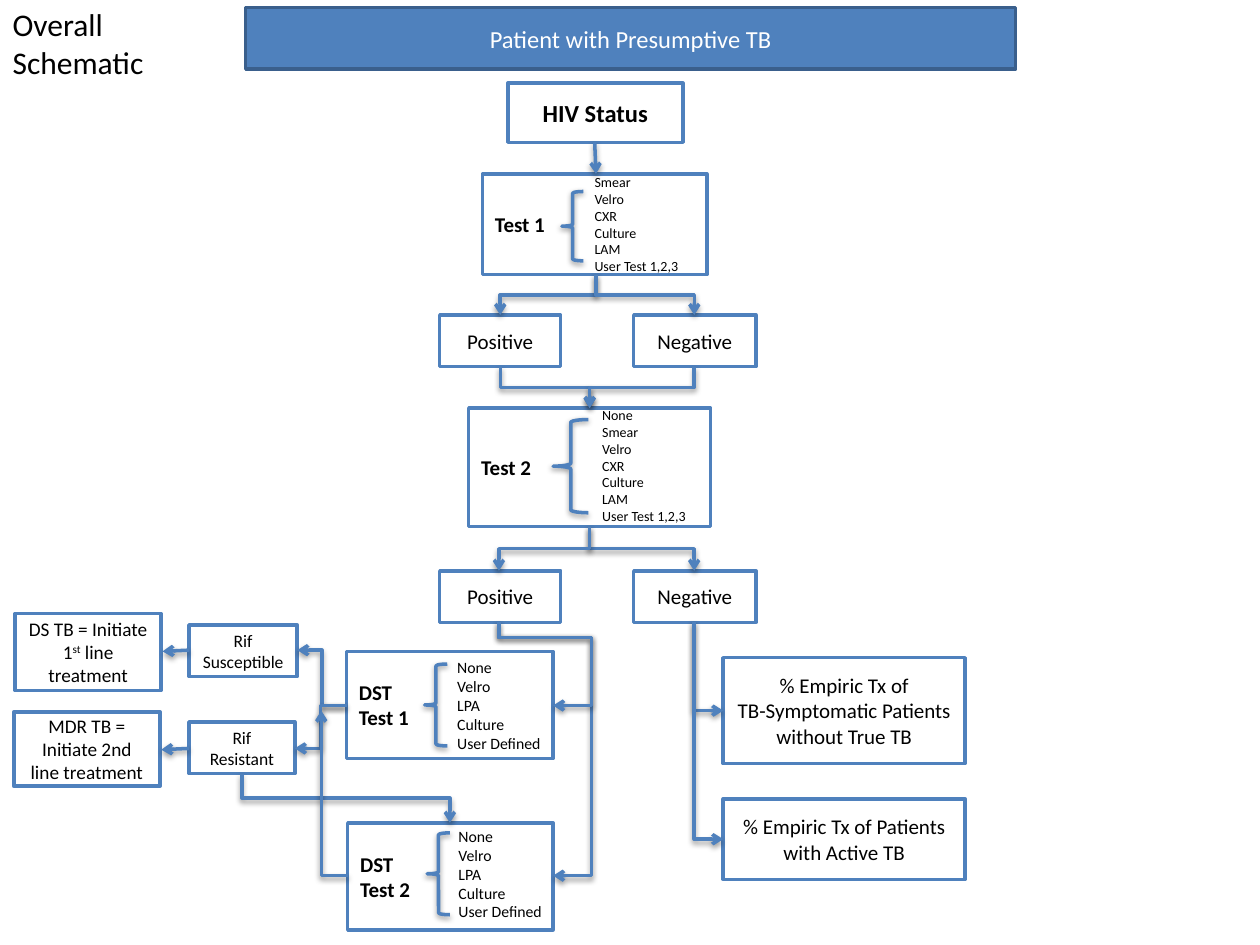
from dataclasses import dataclass

from lxml.etree import SubElement as Sub
from pptx import Presentation
from pptx.dml.color import RGBColor as RGB
from pptx.enum.shapes import MSO_CONNECTOR as Wire, MSO_SHAPE as Form
from pptx.enum.text import MSO_ANCHOR as Anchor, MSO_AUTO_SIZE as Fit, PP_ALIGN as Align
from pptx.oxml.ns import qn
from pptx.util import Pt

PX = 9144  # 100 px to the inch
BLUE = RGB(0x4F, 0x81, 0xBD)
NAVY = RGB(0x3A, 0x5F, 0x8C)
WHITE = RGB(0xFF, 0xFF, 0xFF)
BLACK = RGB(0x00, 0x00, 0x00)

Rect = tuple[int, int, int, int]


@dataclass
class Box:
    at: Rect
    text: str  # ^ marks turn superscript on and off
    size: int = 12
    bold: bool = False
    align: Align = Align.CENTER
    fill: RGB = WHITE
    edge: RGB = BLUE
    ink: RGB = BLACK


@dataclass
class Panel:
    box: Rect
    name: str
    list_at: Rect
    items: str
    size: int
    brace: Rect


@dataclass
class Link:
    start: tuple[int, int]
    end: tuple[int, int]
    bends: int = 2  # 0 is a straight line
    down: bool = True  # leaves downward, else to the left
    adjust: tuple[float, ...] = ()


def scale(at: Rect) -> list[int]:
    return [v * PX for v in at]


def write(frame, text: str, size: int, ink: RGB, align: Align, bold: bool = False) -> None:
    frame.word_wrap = True
    for i, line in enumerate(text.split("\n")):
        par = frame.paragraphs[0] if i == 0 else frame.add_paragraph()
        par.alignment = align
        font = par.font
        font.name, font.size, font.bold = "Calibri", Pt(size), bold
        font.color.rgb = ink
        for j, part in enumerate(line.split("^")):
            run = par.add_run()
            run.text = part
            if j % 2:
                run.font._element.set("baseline", "30000")


def stroke(shape, color: RGB) -> None:
    shape.line.color.rgb = color
    shape.line.width = Pt(2)


def shade(props) -> None:
    """Give a soft shadow below the line."""
    old = props.find(qn("a:effectLst"))
    effect = Sub(props, qn("a:effectLst")) if old is None else old
    cast = Sub(effect, qn("a:outerShdw"), blurRad="40000", dist="20000",
               dir="5400000", rotWithShape="0")
    tint = Sub(cast, qn("a:srgbClr"), val="000000")
    Sub(tint, qn("a:alpha"), val="38000")


def draw_box(shapes, box: Box) -> None:
    shape = shapes.add_shape(Form.RECTANGLE, *scale(box.at))
    shape.shadow.inherit = False
    shape.fill.solid()
    shape.fill.fore_color.rgb = box.fill
    stroke(shape, box.edge)
    shape.text_frame.vertical_anchor = Anchor.MIDDLE
    write(shape.text_frame, box.text, box.size, box.ink, box.align, box.bold)


def draw_panel(shapes, panel: Panel) -> None:
    group = shapes.add_group_shape().shapes
    draw_box(group, Box(panel.box, panel.name, bold=True, align=Align.LEFT))
    frame = group.add_textbox(*scale(panel.list_at)).text_frame
    write(frame, panel.items, panel.size, BLACK, Align.LEFT)
    frame.auto_size = Fit.SHAPE_TO_FIT_TEXT
    brace = group.add_shape(Form.LEFT_BRACE, *scale(panel.brace))
    brace.fill.background()
    stroke(brace, BLUE)
    brace.shadow.inherit = False
    shade(brace._element.spPr)


def draw_link(shapes, link: Link) -> None:
    (x1, y1), (x2, y2) = link.start, link.end
    if link.bends == 0:
        wire = shapes.add_connector(Wire.STRAIGHT, *scale((x1, y1, x2, y2)))
        props = wire._element.spPr
    else:
        wide, high = abs(x2 - x1) * PX, abs(y2 - y1) * PX
        if link.down:
            wide, high = high, wide
        left = ((x1 + x2) * PX - wide) // 2
        top = ((y1 + y2) * PX - high) // 2
        wire = shapes.add_connector(Wire.ELBOW, left, top, left + wide, top + high)
        props = wire._element.spPr
        # Turn the elbow so that it leaves in the right direction
        frame = props.find(qn("a:xfrm"))
        if link.down and x2 > x1:
            frame.set("rot", "16200000")
            frame.set("flipH", "1")
        elif link.down:
            frame.set("rot", "5400000")
        else:
            frame.set("rot", "10800000")
            if y2 > y1:
                frame.set("flipV", "1")
        shape = props.find(qn("a:prstGeom"))
        shape.set("prst", f"bentConnector{link.bends + 1}")
        guides = shape.find(qn("a:avLst"))
        for i, part in enumerate(link.adjust, 1):
            Sub(guides, qn("a:gd"), name=f"adj{i}", fmla=f"val {round(part * 100000)}")
    stroke(wire, BLUE)
    Sub(props.find(qn("a:ln")), qn("a:tailEnd"), type="arrow")
    shade(props)


BOXES = [
    Box((195, 6, 611, 49), "Patient with Presumptive TB", 14, fill=BLUE, edge=NAVY, ink=WHITE),
    Box((403, 66, 139, 47), "HIV Status", 14, bold=True),
    # Treatment without a positive test
    Box((574, 522, 192, 84), "% Empiric Tx of\nTB-Symptomatic Patients without True TB"),
    Box((574, 634, 192, 64), "% Empiric Tx of Patients with Active TB"),
    # Drug resistance and treatment
    Box((150, 496, 86, 41), "Rif Susceptible", 10),
    Box((150, 573, 84, 41), "Rif Resistant", 10),
    Box((12, 487, 116, 61), "DS TB = Initiate 1^st^ line treatment", 11),
    Box((11, 565, 116, 59), "MDR TB = Initiate 2nd line treatment", 11),
]
# Results of both tests
for top in (250, 453):
    BOXES += [Box((349, top, 96, 41), "Positive"), Box((503, top, 97, 41), "Negative")]

TESTS = "Smear\nVelro\nCXR\nCulture\nLAM\nUser Test 1,2,3"
DRUGS = "None\nVelro\nLPA\nCulture\nUser Defined"
PANELS = [
    Panel((383, 138, 178, 80), "Test 1", (462, 133, 119, 91), TESTS, 8, (446, 152, 17, 55)),
    Panel((372, 324, 192, 94), "Test 2", (468, 318, 119, 104), "None\n" + TESTS, 8,
          (439, 333, 28, 74)),
    Panel((275, 517, 164, 85), "DST\nTest 1", (353, 517, 105, 86), DRUGS, 9, (337, 527, 18, 65)),
    Panel((276, 653, 163, 85), "DST\nTest 2", (354, 651, 105, 86), DRUGS, 9, (339, 661, 18, 65)),
]

LINKS = [
    Link((472, 113), (473, 138), 0),
    # Tests to results
    Link((473, 218), (397, 250)),
    Link((473, 218), (551, 250)),
    Link((397, 291), (468, 324)),
    Link((551, 291), (468, 324)),
    Link((468, 418), (551, 453)),
    Link((468, 418), (396, 453)),
    # Results to treatment and drug tests
    Link((551, 494), (574, 564), 1),
    Link((551, 494), (574, 666), 1),
    Link((396, 494), (439, 695), 3, adjust=(0.06, 1.71)),
    Link((396, 494), (439, 560), 3, adjust=(0.18, 1.71)),
    # Drug tests to treatment
    Link((275, 560), (236, 516), down=False),
    Link((275, 560), (234, 594), down=False),
    Link((150, 594), (128, 595), 0),
    Link((150, 516), (129, 517), 0),
    Link((192, 614), (357, 653)),
    Link((276, 695), (255, 564), 1, down=False),
]


def main() -> None:
    deck = Presentation()
    deck.slide_width, deck.slide_height = 1000 * PX, 750 * PX
    shapes = deck.slides.add_slide(deck.slide_layouts[5]).shapes

    # Title
    title = shapes.title
    title.left, title.top, title.width, title.height = scale((0, -1, 150, 71))
    title.text_frame.auto_size = Fit.NONE
    title.text_frame.vertical_anchor = Anchor.TOP
    write(title.text_frame, "Overall Schematic", 18, BLACK, Align.LEFT)

    # Flow chart
    for box in BOXES:
        draw_box(shapes, box)
    for panel in PANELS:
        draw_panel(shapes, panel)
    for link in LINKS:
        draw_link(shapes, link)
    deck.save("out.pptx")


if __name__ == "__main__":
    main()
